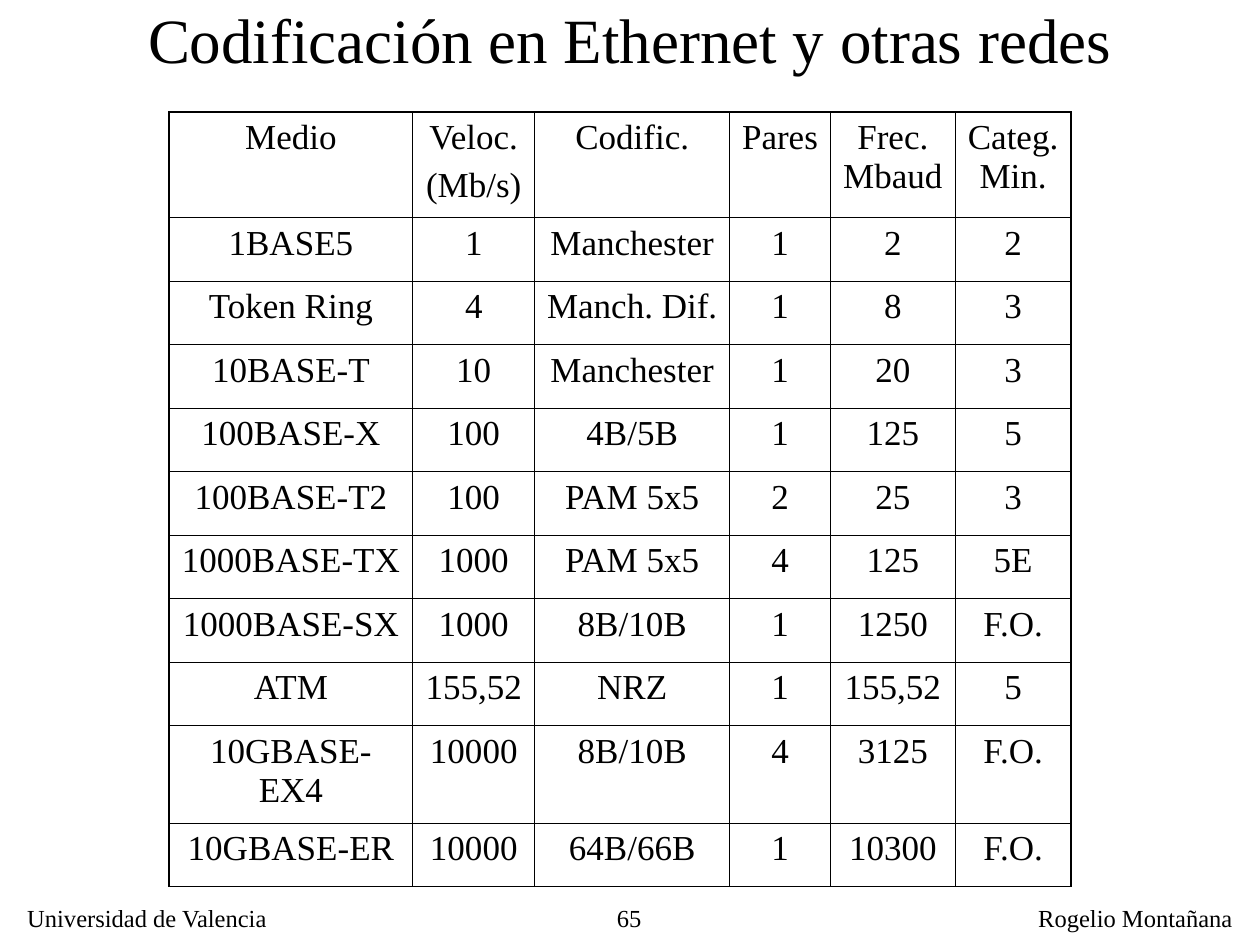
from dataclasses import dataclass

from lxml import etree
from pptx import Presentation
from pptx import util as u
from pptx.dml.color import RGBColor
from pptx.enum import text
from pptx.oxml import ns

COLOURS = {"ink": "000000"}
FONT = "Times New Roman"
ALIGN = text.PP_ALIGN
OUTER_LINE = u.Pt(1.08)
INNER_LINE = u.Pt(0.45)
SIDE_MARGIN = u.Cm(0.24)


@dataclass
class Label:
    wording: str
    left: float
    top: float
    width: float
    height: float
    size: int
    align: ALIGN
    anchor: text.MSO_ANCHOR = text.MSO_ANCHOR.TOP
    wrap: bool = True


@dataclass
class Column:
    heading: str
    width: float
    values: list[str]


LABELS = [
    Label("65", 10.49, 18.08, 2.69, 0.79, 14, ALIGN.RIGHT),
    Label("Universidad de Valencia", 0.3, 18.08, 5.41, 0.86, 14, ALIGN.LEFT, wrap=False),
    Label("Rogelio Montañana", 20.68, 18.08, 4.42, 0.86, 14, ALIGN.LEFT, wrap=False),
    Label("Codificación en Ethernet y otras redes", 1.9, -0.28, 21.6, 2.1, 36,
          ALIGN.CENTER, text.MSO_ANCHOR.MIDDLE),
]

COLUMNS = [
    Column("Medio", 4.91, ["1BASE5", "Token Ring", "10BASE-T", "100BASE-X", "100BASE-T2",
                           "1000BASE-TX", "1000BASE-SX", "ATM", "10GBASE-EX4", "10GBASE-ER"]),
    Column("Veloc.\n(Mb/s)", 2.46, ["1", "4", "10", "100", "100", "1000", "1000",
                                    "155,52", "10000", "10000"]),
    Column("Codific.", 3.93, ["Manchester", "Manch. Dif.", "Manchester", "4B/5B", "PAM 5x5",
                              "PAM 5x5", "8B/10B", "NRZ", "8B/10B", "64B/66B"]),
    Column("Pares", 2.03, ["1", "1", "1", "1", "2", "4", "1", "1", "4", "1"]),
    Column("Frec.\vMbaud", 2.52, ["2", "8", "20", "125", "25", "125", "1250",
                                  "155,52", "3125", "10300"]),
    Column("Categ.\vMin.", 2.33, ["2", "3", "3", "5", "3", "5E", "F.O.", "5", "F.O.", "F.O."]),
]
ROW_HEIGHTS = [2.13] + [1.28] * 8 + [1.96, 1.28]


def write(frame, wording: str, size: int, align: ALIGN, space_before: int = 0) -> None:
    for number, content in enumerate(wording.split("\n")):
        para = frame.add_paragraph() if number else frame.paragraphs[0]
        para.alignment = align
        para.space_before = u.Pt(space_before)
        for position, line in enumerate(content.split("\v")):
            if position:
                para.add_line_break()
            span = para.add_run()
            span.text = line
            span.font.name = FONT
            span.font.size = u.Pt(size)
            span.font.color.rgb = RGBColor.from_string(COLOURS["ink"])


def draw_label(page, label: Label) -> None:
    box = page.shapes.add_textbox(u.Cm(label.left), u.Cm(label.top),
                                  u.Cm(label.width), u.Cm(label.height))
    box.text_frame.word_wrap = label.wrap
    box.text_frame.vertical_anchor = label.anchor
    write(box.text_frame, label.wording, label.size, label.align)


def set_borders(cell, outer_sides: dict[str, bool]) -> None:
    properties = cell._tc.get_or_add_tcPr()
    for position, (side, is_outer) in enumerate(outer_sides.items()):
        line = etree.Element(ns.qn(f"a:ln{side}"), w=str(OUTER_LINE if is_outer else INNER_LINE))
        fill = etree.SubElement(line, ns.qn("a:solidFill"))
        etree.SubElement(fill, ns.qn("a:srgbClr"), val=COLOURS["ink"])
        properties.insert(position, line)


def draw_table(page, columns: list[Column], heights: list[float], left: float, top: float) -> None:
    width = sum(column.width for column in columns)
    table = page.shapes.add_table(len(heights), len(columns), u.Cm(left), u.Cm(top),
                                  u.Cm(width), u.Cm(sum(heights))).table
    table.first_row = False
    table.horz_banding = False
    for row, height in zip(table.rows, heights):
        row.height = u.Cm(height)
    last_row, last_column = len(heights) - 1, len(columns) - 1
    for c, column in enumerate(columns):
        table.columns[c].width = u.Cm(column.width)
        for r, wording in enumerate([column.heading, *column.values]):
            cell = table.cell(r, c)
            cell.fill.background()
            cell.margin_left = cell.margin_right = SIDE_MARGIN
            write(cell.text_frame, wording, 20, ALIGN.CENTER, space_before=5)
            set_borders(cell, {"L": c == 0, "R": c == last_column,
                               "T": r == 0, "B": r == last_row})


def main() -> None:
    deck = Presentation()
    deck.slide_width, deck.slide_height = u.Cm(25.4), u.Cm(19.05)
    page = deck.slides.add_slide(deck.slide_layouts[6])
    for label in LABELS:
        draw_label(page, label)
    draw_table(page, COLUMNS, ROW_HEIGHTS, 3.41, 2.26)
    deck.save("out.pptx")


if __name__ == "__main__":
    main()
